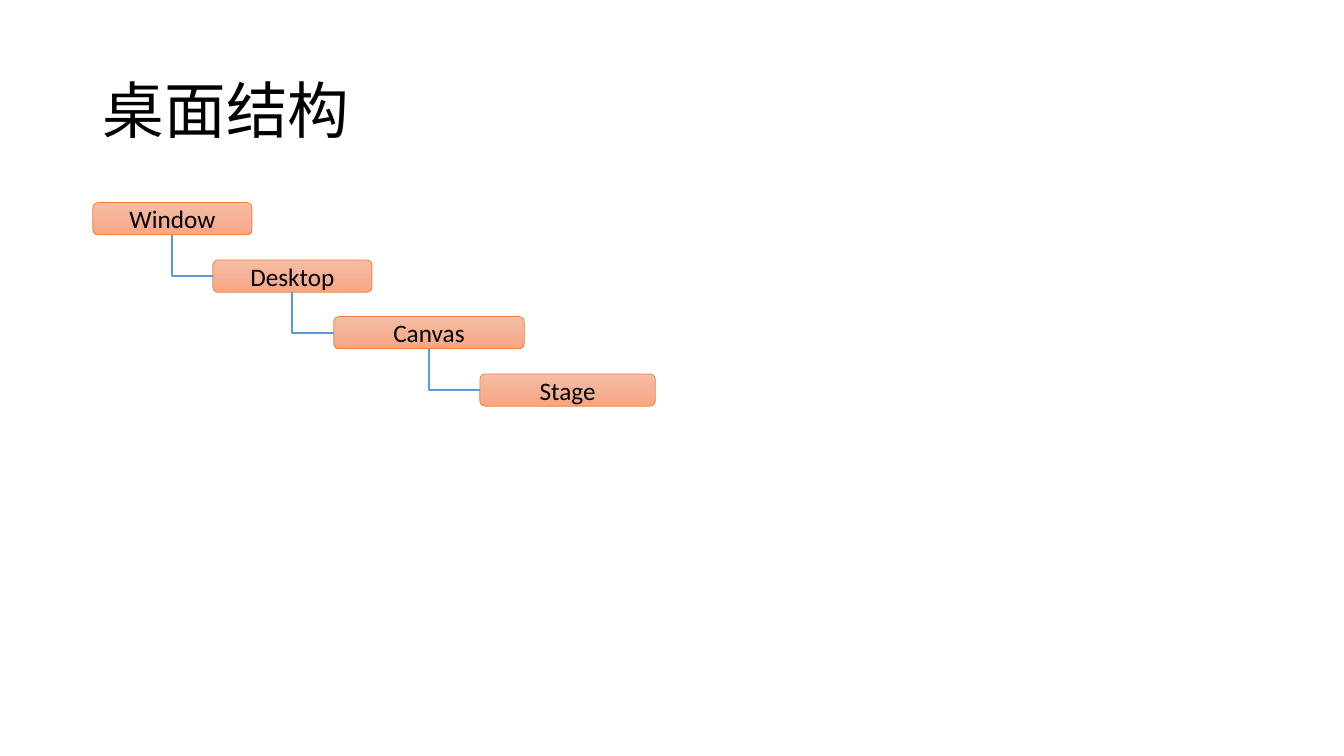
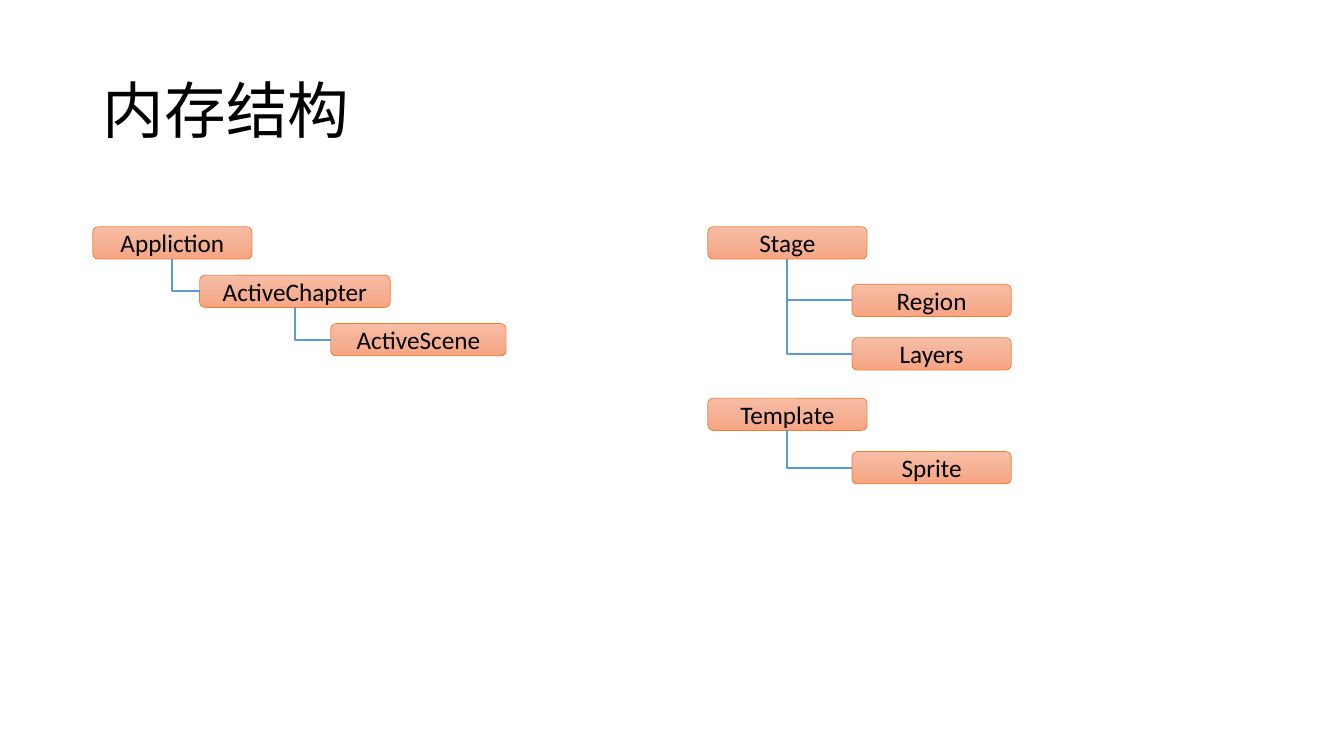
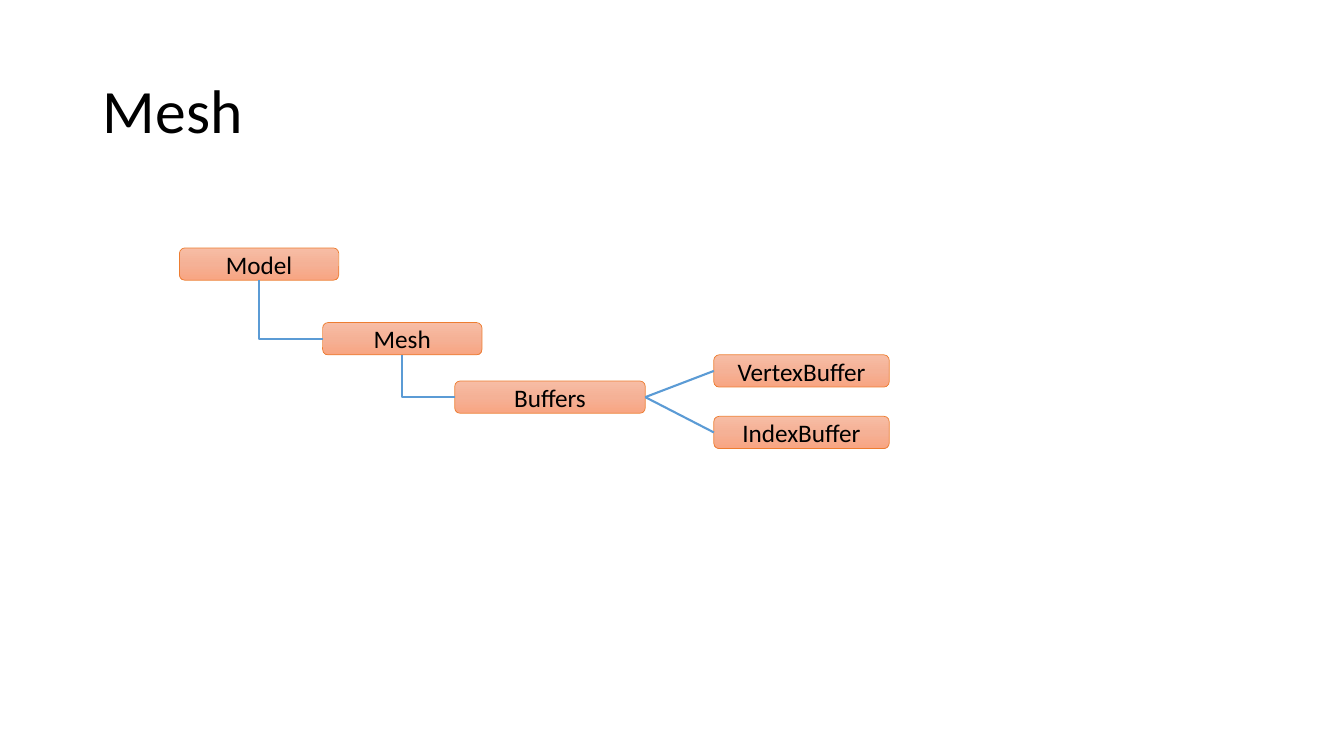
"""Builds three slides of tree diagrams about an engine's structure."""
from copy import deepcopy
from dataclasses import dataclass

from pptx import Presentation
from pptx.dml.color import RGBColor
from pptx.enum.shapes import MSO_CONNECTOR, MSO_SHAPE
from pptx.enum.text import MSO_ANCHOR, MSO_AUTO_SIZE, PP_ALIGN
from pptx.oxml import parse_xml
from pptx.oxml.ns import nsdecls
from pptx.util import Inches, Pt


@dataclass(frozen=True)
class Theme:
    font: str = "Calibri"
    ink: str = "000000"
    edge: str = "ED7D31"
    link: str = "5B9BD5"
    stops: tuple = ((0, "F7BDA5"), (0.5, "F5B196"), (1, "F8A582"))
    head: int = 44
    body: int = 18
    thin: float = 0.5
    thick: float = 1.5


THEME = Theme()
SIZE = (13.33, 7.5)
TITLE = (0.92, 0.4, 11.5, 1.45)
TALL = 0.32
SMALL, MID, WIDE = 1.58, 1.74, 1.89
BOTTOM, LEFT, RIGHT = 2, 1, 3

SLIDES = [
    {
        "title": "桌面结构",
        "nodes": [
            ("Window", 0.92, 2.01, SMALL),
            ("Desktop", 2.11, 2.58, SMALL),
            ("Canvas", 3.31, 3.14, WIDE),
            ("Stage", 4.76, 3.71, MID),
        ],
        "bent": [("Window", "Desktop"), ("Desktop", "Canvas"), ("Canvas", "Stage")],
        "straight": [],
    },
    {
        "title": "内存结构",
        "nodes": [
            ("Appliction", 0.92, 2.25, SMALL),
            ("ActiveChapter", 1.98, 2.73, WIDE),
            ("ActiveScene", 3.28, 3.21, MID),
            ("Stage", 7.02, 2.25, SMALL),
            ("Region", 8.45, 2.82, SMALL),
            ("Layers", 8.45, 3.35, SMALL),
            ("Template", 7.02, 3.95, SMALL),
            ("Sprite", 8.45, 4.48, SMALL),
        ],
        "bent": [
            ("Appliction", "ActiveChapter"),
            ("ActiveChapter", "ActiveScene"),
            ("Stage", "Region"),
            ("Stage", "Layers"),
            ("Template", "Sprite"),
        ],
        "straight": [],
    },
    {
        "title": "Mesh",
        "nodes": [
            ("Model", 1.78, 2.46, SMALL),
            ("Mesh", 3.2, 3.2, SMALL),
            ("Buffers", 4.51, 3.78, WIDE),
            ("VertexBuffer", 7.08, 3.52, MID),
            ("IndexBuffer", 7.08, 4.13, MID),
        ],
        "bent": [("Model", "Mesh"), ("Mesh", "Buffers")],
        "straight": [("Buffers", "VertexBuffer"), ("Buffers", "IndexBuffer")],
    },
]


def color(code):
    return RGBColor.from_string(code)


def write(frame, text, size, align):
    frame.word_wrap = True
    frame.auto_size = MSO_AUTO_SIZE.NONE
    frame.vertical_anchor = MSO_ANCHOR.MIDDLE
    para = frame.paragraphs[0]
    para.alignment = align
    run = para.add_run()
    run.text = text
    run.font.name = THEME.font
    run.font.size = Pt(size)
    run.font.color.rgb = color(THEME.ink)
    return para


def add_title(slide, text):
    title = slide.shapes.title
    title.left, title.top, title.width, title.height = map(Inches, TITLE)
    para = write(title.text_frame, text, THEME.head, PP_ALIGN.LEFT)
    para.line_spacing = 0.9


def add_node(slide, text, left, top, width):
    node = slide.shapes.add_shape(
        MSO_SHAPE.ROUNDED_RECTANGLE, *map(Inches, (left, top, width, TALL)))
    node.shadow.inherit = False
    node.fill.gradient()
    node.fill.gradient_angle = 270
    group = node.element.xpath(".//a:gsLst")[0]
    group.insert(1, deepcopy(group[0]))
    for stop, (place, code) in zip(node.fill.gradient_stops, THEME.stops):
        stop.position = place
        stop.color.rgb = color(code)
    node.line.color.rgb = color(THEME.edge)
    node.line.width = Pt(THEME.thin)
    write(node.text_frame, text, THEME.body, PP_ALIGN.CENTER)
    return node


def add_link(slide, kind, start, side, end):
    link = slide.shapes.add_connector(kind, 0, 0, 0, 0)
    link.begin_connect(start, side)
    link.end_connect(end, LEFT)
    link.line.color.rgb = color(THEME.link)
    link.line.width = Pt(THEME.thick)
    link.element.spPr.append(parse_xml(f"<a:effectLst {nsdecls('a')}/>"))
    return link


def add_bend(slide, start, end):
    link = add_link(slide, MSO_CONNECTOR.ELBOW, start, BOTTOM, end)
    wide, tall = link.width, link.height
    shift = (wide - tall) // 2
    link.left, link.top = link.left + shift, link.top - shift
    link.width, link.height = tall, wide
    frame = link.element.xpath(".//a:xfrm")[0]
    frame.set("rot", str(270 * 60000))
    frame.set("flipH", "1")
    link.element.xpath(".//a:prstGeom")[0].set("prst", "bentConnector2")


def main():
    deck = Presentation()
    deck.slide_width, deck.slide_height = map(Inches, SIZE)
    for page in SLIDES:
        slide = deck.slides.add_slide(deck.slide_layouts[5])
        add_title(slide, page["title"])
        nodes = {node[0]: add_node(slide, *node) for node in page["nodes"]}
        for start, end in page["bent"]:
            add_bend(slide, nodes[start], nodes[end])
        for start, end in page["straight"]:
            add_link(slide, MSO_CONNECTOR.STRAIGHT, nodes[start], RIGHT, nodes[end])
    deck.save("out.pptx")


if __name__ == "__main__":
    main()
